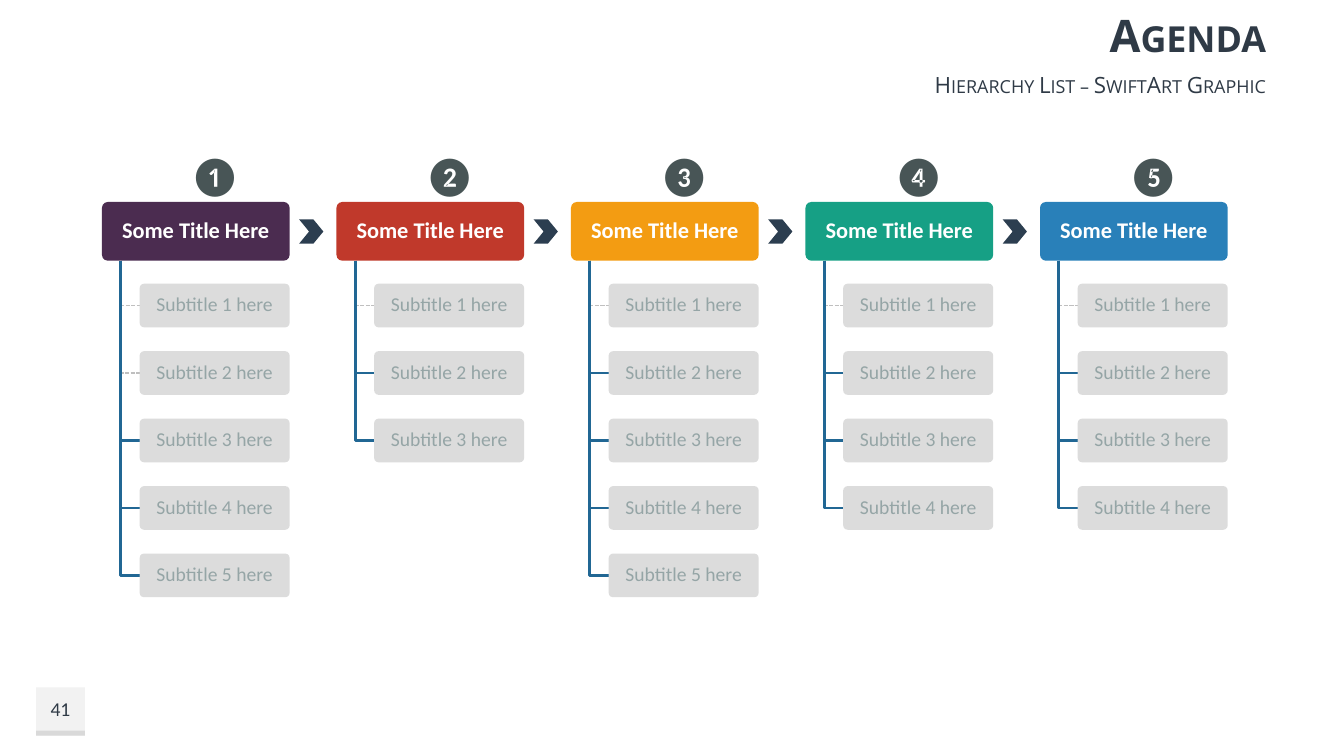
from dataclasses import dataclass
from typing import Any

from lxml import etree
from pptx import Presentation
from pptx import util as u
from pptx.dml.color import RGBColor
from pptx.enum import dml, shapes, text
from pptx.oxml import ns

INK, WHITE, BADGE, ARROW = "2F3A46", "FFFFFF", "485556", "2C3E50"
PANEL, PANEL_TEXT = "D9D9D9", "95A5A6"
BRANCH, FAINT_BRANCH = "216794", "BFBFBF"

# Lengths in centimetres
COLUMN_LEFT, COLUMN_STEP = 2.57, 5.91
HEAD_TOP, HEAD_WIDTH, HEAD_HEIGHT = 5.09, 4.73, 1.48
ITEM_TOP, ITEM_STEP, ITEM_WIDTH, ITEM_HEIGHT = 7.15, 1.7, 3.78, 1.1
ITEM_INDENT, TRUNK_INDENT = 0.95, 0.47


@dataclass
class Box:
    left: float
    top: float
    width: float
    height: float

    def emu(self) -> tuple[u.Length, ...]:
        return tuple(u.Cm(v) for v in (self.left, self.top, self.width, self.height))


@dataclass
class Topic:
    badge: str
    colour: str
    items: int
    faint: int = 1  # leading branches drawn as thin dashes


@dataclass
class Style:
    size: int
    colour: str
    font: str = "Calibri"
    bold: bool = False
    small_caps: bool = False
    align: Any = text.PP_ALIGN.CENTER
    spacing: float | None = None


TOPICS = [
    Topic("❶", "4B2C50", 5, faint=2),
    Topic("❷", "C0392B", 3),
    Topic("❸", "F39C12", 5),
    Topic("❹", "16A085", 4),
    Topic("❺", "2980B9", 4),
]
HEAD_STYLE = Style(16, WHITE, bold=True, spacing=0.9)
ITEM_STYLE = Style(14, PANEL_TEXT, spacing=0.9)
TIGHT = {"margin_left": u.Cm(0.1), "margin_right": u.Cm(0.1),
         "margin_top": u.Cm(0.08), "margin_bottom": u.Cm(0.08)}


def rgb(colour: str) -> RGBColor:
    return RGBColor.from_string(colour)


def apply(target: Any, formats: dict[str, Any]) -> None:
    for name, value in formats.items():
        setattr(target, name, value)


def write(shape: Any, words: str, style: Style, **frame_formats: Any) -> None:
    frame = shape.text_frame
    apply(frame, {"word_wrap": True, "auto_size": text.MSO_AUTO_SIZE.NONE,
                  "vertical_anchor": text.MSO_ANCHOR.MIDDLE} | frame_formats)
    paragraph = frame.paragraphs[0]
    paragraph.alignment = style.align
    if style.spacing:
        paragraph.line_spacing = style.spacing
    run = paragraph.add_run()
    run.text = words
    apply(run.font, {"name": style.font, "size": u.Pt(style.size), "bold": style.bold})
    run.font.color.rgb = rgb(style.colour)
    if style.small_caps:
        run._r.get_or_add_rPr().set("cap", "small")


def add_panel(slide: Any, kind: Any, box: Box, colour: str,
              corner: float | None = None, opacity: int = 100) -> Any:
    panel = slide.shapes.add_shape(kind, *box.emu())
    panel.shadow.inherit = False
    panel.fill.solid()
    panel.fill.fore_color.rgb = rgb(colour)
    if opacity < 100:
        tint = panel._element.spPr.find(".//" + ns.qn("a:srgbClr"))
        etree.SubElement(tint, ns.qn("a:alpha"), val=str(opacity * 1000))
    panel.line.fill.background()
    if corner is not None:
        panel.adjustments[0] = corner
    return panel


def add_branch(slide: Any, trunk: float, item: Box, faint: bool) -> None:
    """Draw the elbow from the heading's lower edge to an item's left side."""
    middle = item.top + item.height / 2
    start, *turns = [(u.Cm(x), u.Cm(y)) for x, y in
                     ((trunk, HEAD_TOP + HEAD_HEIGHT), (trunk, middle), (item.left, middle))]
    outline = slide.shapes.build_freeform(*start)
    outline.add_line_segments(turns, close=False)
    branch = outline.convert_to_shape()
    branch.shadow.inherit = False
    branch.fill.background()
    branch.line.color.rgb = rgb(FAINT_BRANCH if faint else BRANCH)
    branch.line.width = u.Pt(1 if faint else 2)
    if faint:
        branch.line.dash_style = dml.MSO_LINE.SQUARE_DOT


def add_topic(slide: Any, topic: Topic, left: float) -> None:
    rounded = shapes.MSO_SHAPE.ROUNDED_RECTANGLE
    heading = add_panel(slide, rounded, Box(left, HEAD_TOP, HEAD_WIDTH, HEAD_HEIGHT),
                        topic.colour, corner=0.1)
    write(heading, "Some Title Here", HEAD_STYLE, **TIGHT)
    for row in range(topic.items):
        place = Box(left + ITEM_INDENT, ITEM_TOP + row * ITEM_STEP, ITEM_WIDTH, ITEM_HEIGHT)
        add_branch(slide, left + TRUNK_INDENT, place, row < topic.faint)
        item = add_panel(slide, rounded, place, PANEL, corner=0.1, opacity=90)
        write(item, f"Subtitle {row + 1} here", ITEM_STYLE, **TIGHT)
    badge = slide.shapes.add_textbox(*Box(left + 1.95, 3.68, 1.4, 1.45).emu())
    write(badge, topic.badge, Style(28, BADGE), word_wrap=False,
          auto_size=text.MSO_AUTO_SIZE.SHAPE_TO_FIT_TEXT)


def add_header(slide: Any) -> None:
    title, subtitle = slide.placeholders
    for holder, words, box, size in (
        (title, "Agenda", Box(10.8, 0, 21.36, 1.73), 32),
        (subtitle, "Hierarchy List – SwiftArt Graphic", Box(10.8, 1.73, 21.36, 0.79), 16),
    ):
        apply(holder, dict(zip(("left", "top", "width", "height"), box.emu())))
        write(holder, words, Style(size, INK, "Open Sans", bold=holder is title,
                                   small_caps=True, align=text.PP_ALIGN.RIGHT))


def add_page_number(slide: Any) -> None:
    square = shapes.MSO_SHAPE.RECTANGLE
    plate = add_panel(slide, square, Box(0.91, 17.32, 1.23, 1.22), "F2F2F2")
    write(plate, "41", Style(14, INK), margin_top=0, margin_bottom=u.Cm(0.13))
    add_panel(slide, square, Box(0.91, 18.41, 1.23, 0.13), PANEL)


def main() -> None:
    deck = Presentation()
    deck.slide_width, deck.slide_height = u.Cm(33.87), u.Cm(19.05)
    slide = deck.slides.add_slide(deck.slide_layouts[0])
    add_header(slide)
    add_page_number(slide)
    for column, topic in enumerate(TOPICS):
        left = COLUMN_LEFT + column * COLUMN_STEP
        add_topic(slide, topic, left)
        if column < len(TOPICS) - 1:
            add_panel(slide, shapes.MSO_SHAPE.CHEVRON,
                      Box(left + 4.97, 5.53, 0.61, 0.61), ARROW, corner=0.41)
    deck.save("out.pptx")


if __name__ == "__main__":
    main()
